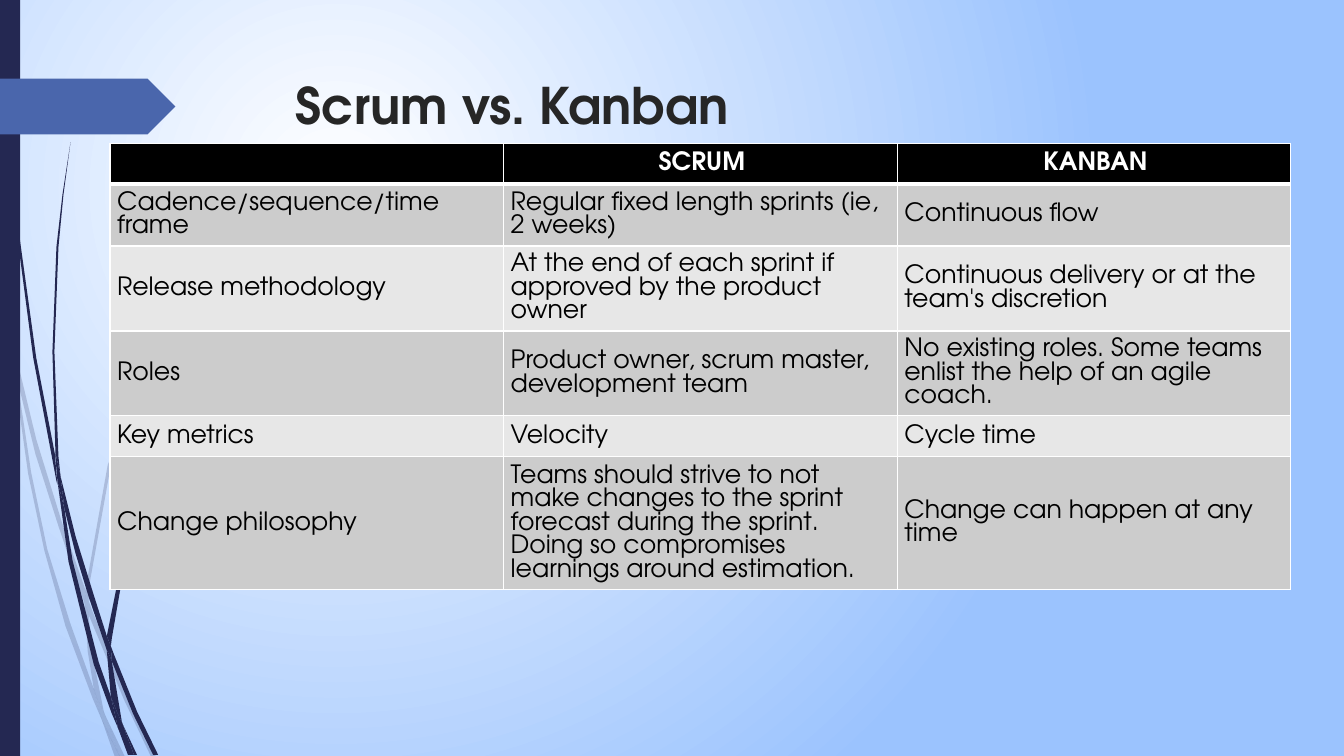
"""Build the Scrum vs. Kanban comparison slide."""
from dataclasses import dataclass

from lxml.etree import SubElement
from pptx import Presentation
from pptx.dml.color import RGBColor as RGB
from pptx.enum.shapes import MSO_SHAPE as SHAPE
from pptx.enum.text import MSO_ANCHOR as ANCHOR, PP_ALIGN as ALIGN
from pptx.oxml.ns import qn
from pptx.util import Cm, Pt

TITLE = "Scrum vs. Kanban"
ROWS = [
    ("", "SCRUM", "KANBAN"),
    ("Cadence/sequence/time frame", "Regular fixed length sprints (ie, 2 weeks)",
     "Continuous flow"),
    ("Release methodology", "At the end of each sprint if approved by the product owner",
     "Continuous delivery or at the team's discretion"),
    ("Roles", "Product owner, scrum master, development team",
     "No existing roles. Some teams enlist the help of an agile coach."),
    ("Key metrics", "Velocity", "Cycle time"),
    ("Change philosophy",
     "Teams should strive to not make changes to the sprint forecast during the sprint. "
     "Doing so compromises learnings around estimation.",
     "Change can happen at any time"),
]
ROW_HEIGHTS = (1.03, 1.56, 2.14, 2.14, 1.03, 3.35)
COLUMN_WIDTH = 9.92

GRASS_UNIT = 0.0254
PALE_GRASS = [
    [(11, 350), (9, 322), (0, 282), (0, 299), (10, 344)],
    [(58, 522), (84, 599), (85, 586), (62, 520), (36, 436), (14, 345), (17, 376), (35, 450)],
    [(92, 607), (88, 596), (88, 610), (123, 694), (150, 751), (155, 751), (127, 692)],
    [(119, 751), (124, 751), (105, 711)],
    [(93, 683), (70, 619), (47, 545), (31, 469), (17, 376), (11, 350), (28, 470), (44, 546),
     (65, 621), (92, 693), (101, 714), (99, 707)],
    [(84, 599), (87, 646), (93, 683), (96, 692), (105, 711), (103, 706), (91, 646), (88, 610),
     (88, 608)],
    [(88, 584), (110, 462), (160, 349), (229, 245), (268, 198), (290, 175), (312, 154),
     (312, 153), (289, 175), (268, 197), (228, 244), (158, 348), (107, 461), (85, 584),
     (85, 586), (88, 596)],
    [(101, 714), (114, 751), (119, 751)],
    [(88, 608), (88, 610), (88, 596), (85, 586), (84, 599)],
    [(96, 692), (93, 683), (99, 707), (101, 714), (119, 751), (105, 711)],
]
DARK_GRASS = [
    [(7, 110), (17, 233), (33, 355), (56, 477), (57, 481), (55, 457), (55, 453), (36, 355),
     (19, 232), (8, 109), (5, 48), (4, 0), (3, 0), (4, 48)],
    [(88, 592), (106, 645), (106, 633), (106, 631), (93, 590), (75, 532), (60, 472), (64, 505),
     (75, 549)],
    [(113, 649), (110, 641), (111, 656), (132, 708), (152, 749), (157, 749), (136, 706)],
    [(110, 691), (98, 657), (72, 556), (64, 505), (57, 477), (68, 557), (93, 659), (111, 708),
     (117, 722), (116, 717)],
    [(60, 472), (58, 453), (54, 349), (58, 245), (63, 193), (70, 141), (62, 193), (56, 245),
     (52, 349), (55, 449)],
    [(133, 749), (136, 749), (122, 719)],
    [(57, 477), (64, 505), (60, 472), (55, 449), (55, 453)],
    [(111, 633), (125, 552), (158, 476), (205, 406), (231, 374), (245, 359), (261, 344),
     (260, 344), (245, 358), (231, 373), (204, 405), (156, 474), (122, 551), (106, 631),
     (110, 641)],
    [(117, 722), (127, 749), (131, 749)],
    [(106, 645), (110, 691), (116, 706), (122, 719), (121, 716), (111, 656), (109, 651)],
    [(106, 645), (109, 651), (111, 656), (110, 641), (106, 631), (106, 633)],
    [(116, 706), (110, 691), (116, 717), (117, 722), (130, 749), (133, 749), (122, 719)],
]


@dataclass(frozen=True)
class Theme:
    """Colours, font and type sizes."""
    font: str = "TeX Gyre Adventor"
    title_size: int = 36
    cell_size: int = 18
    navy: str = "242852"
    blue: str = "4A66AC"
    sky: str = "9BC3FE"
    white: str = "FFFFFF"
    black: str = "000000"
    title: str = "262626"
    bands: tuple = ("CCCCCC", "E7E7E7")
    pale_alpha: int = 20


THEME = Theme()


def set_font(p, size, color, bold):
    """Format every run of a paragraph."""
    for r in p.runs:
        r.font.name, r.font.size, r.font.bold = THEME.font, Pt(size), bold
        r.font.color.rgb = RGB.from_string(color)


def paint(s, color, alpha=100):
    """Give a shape a flat fill without line or shadow."""
    s.shadow.inherit = False
    s.fill.solid()
    s.fill.fore_color.rgb = RGB.from_string(color)
    s.line.fill.background()
    if alpha < 100:
        clr = s._element.spPr.find(".//" + qn("a:srgbClr"))
        SubElement(clr, qn("a:alpha"), val=str(alpha * 1000))


def paint_background(slide):
    """Fill the background with a radial gradient."""
    fill = slide.background.fill
    fill.gradient()
    for stop, position, color in zip(fill.gradient_stops, (0, 1), (THEME.white, THEME.sky)):
        stop.position = position
        stop.color.rgb = RGB.from_string(color)
    grad = slide._element.find(".//" + qn("a:gradFill"))
    grad.remove(grad.find(qn("a:lin")))
    radial = SubElement(grad, qn("a:path"), path="circle")
    SubElement(radial, qn("a:fillToRect"), l="50000", t="50000", r="100000", b="100000")


def add_grass(slide, blades, alpha):
    """Draw the blades of one tuft of grass."""
    for start, *rest in blades:
        builder = slide.shapes.build_freeform(*start, scale=Cm(GRASS_UNIT))
        builder.add_line_segments(rest, close=True)
        paint(builder.convert_to_shape(), THEME.navy, alpha)


def set_borders(cell, bottom):
    """Give a cell white borders."""
    tc_pr = cell._tc.get_or_add_tcPr()
    for side, width in zip("LRTB", (1, 1, 1, bottom)):
        line = SubElement(tc_pr, qn("a:ln" + side), w=str(Pt(width)))
        SubElement(SubElement(line, qn("a:solidFill")), qn("a:srgbClr"), val=THEME.white)


def add_comparison(slide):
    """Add the table of differences."""
    columns = len(ROWS[0])
    table = slide.shapes.add_table(
        len(ROWS), columns, Cm(2.77), Cm(3.61),
        Cm(columns * COLUMN_WIDTH), Cm(sum(ROW_HEIGHTS))).table
    for column in table.columns:
        column.width = Cm(COLUMN_WIDTH)
    for i, (texts, height) in enumerate(zip(ROWS, ROW_HEIGHTS)):
        header = i == 0
        table.rows[i].height = Cm(height)
        for j, text in enumerate(texts):
            cell = table.cell(i, j)
            set_borders(cell, 3 if header else 1)
            cell.fill.solid()
            cell.fill.fore_color.rgb = RGB.from_string(
                THEME.black if header else THEME.bands[(i - 1) % 2])
            cell.vertical_anchor = ANCHOR.MIDDLE
            cell.margin_top = cell.margin_bottom = Cm(0.18 if text else 0)
            cell.margin_left = Cm(0.25 if header else 0.18)
            cell.margin_right = Cm(0.43 if j == 0 else 0.18)
            cell.text_frame.text = text
            p = cell.text_frame.paragraphs[0]
            p.alignment = ALIGN.CENTER if header else ALIGN.LEFT
            set_font(p, THEME.cell_size, THEME.white if header else THEME.black, header)


def main():
    """Compose and save the slide."""
    prs = Presentation()
    prs.slide_width, prs.slide_height = Cm(33.87), Cm(19.05)
    slide = prs.slides.add_slide(prs.slide_layouts[5])
    paint_background(slide)
    add_grass(slide, PALE_GRASS, THEME.pale_alpha)
    add_grass(slide, DARK_GRASS, 100)
    bar = slide.shapes.add_shape(SHAPE.RECTANGLE, 0, 0, Cm(0.51), prs.slide_height)
    paint(bar, THEME.navy)
    arrow = slide.shapes.add_shape(SHAPE.PENTAGON, 0, Cm(1.98), Cm(4.42), Cm(1.41))
    paint(arrow, THEME.blue)

    title = slide.shapes.title
    title.left, title.top, title.width, title.height = Cm(7.2), Cm(1.73), Cm(24.77), Cm(3.56)
    tf = title.text_frame
    tf.text = TITLE
    tf.word_wrap = True
    tf.vertical_anchor = ANCHOR.TOP
    tf.paragraphs[0].alignment = ALIGN.LEFT
    set_font(tf.paragraphs[0], THEME.title_size, THEME.title, True)

    add_comparison(slide)
    prs.save("out.pptx")


if __name__ == "__main__":
    main()
